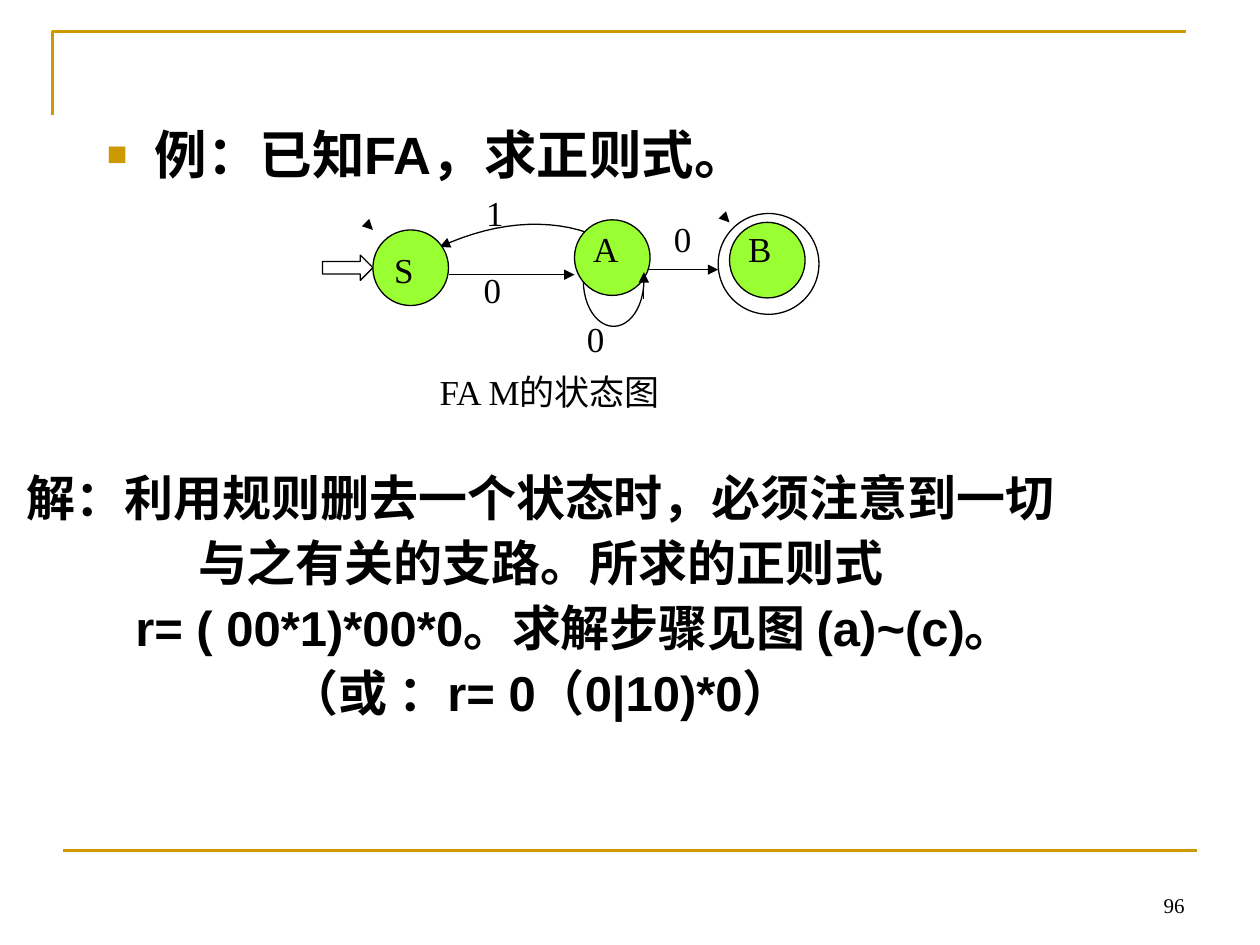
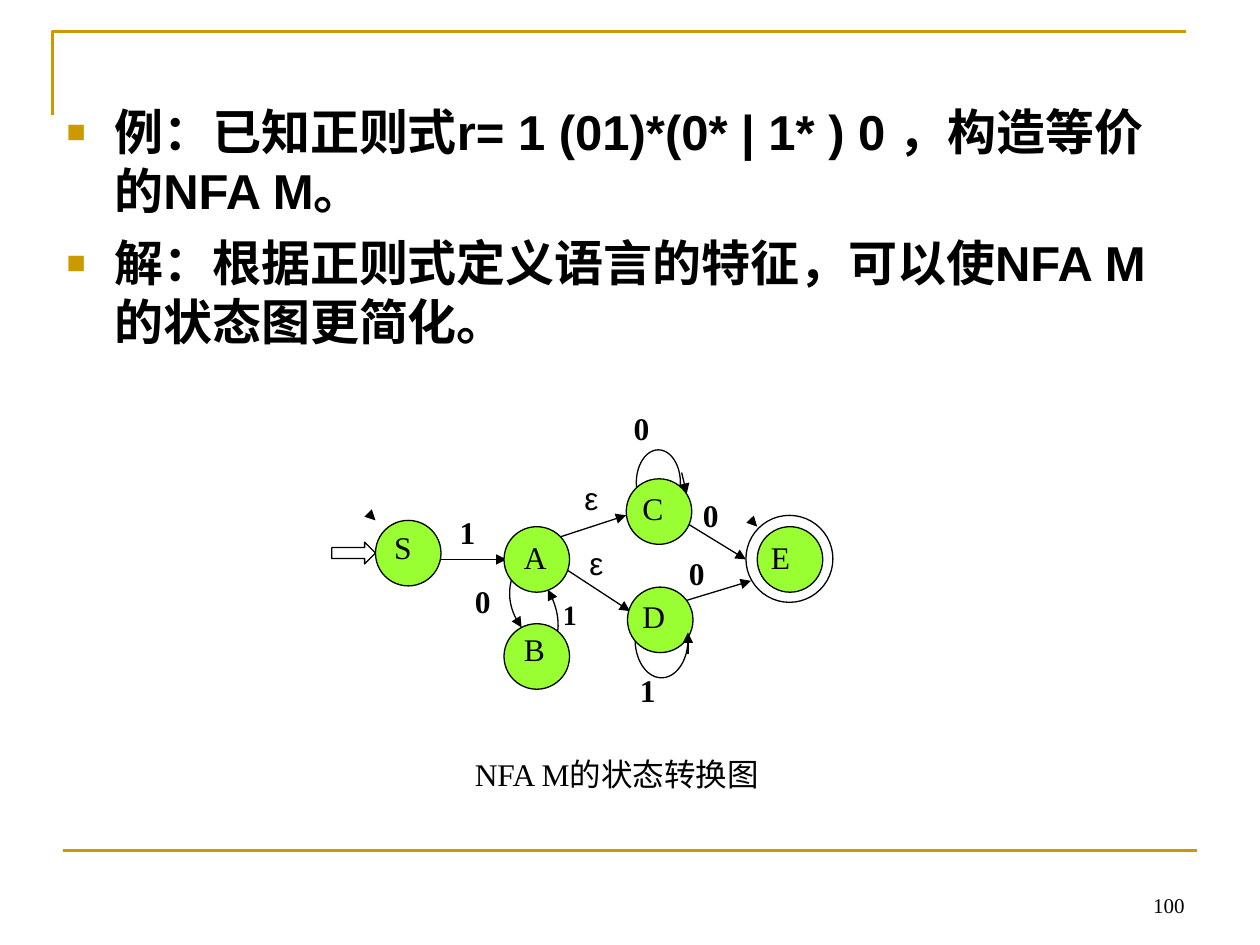
import dataclasses

import lxml.etree
import pptx
import pptx.dml.color
import pptx.enum.shapes
import pptx.enum.text
import pptx.oxml.ns
import pptx.util

SHAPES = pptx.enum.shapes.MSO_SHAPE
ALIGN = pptx.enum.text.PP_ALIGN
ANCHOR = pptx.enum.text.MSO_ANCHOR
SLIDE_SIZE = (pptx.util.Inches(10), pptx.util.Inches(7.5))
COLUMNS, ROWS = 100, 75


@dataclasses.dataclass(frozen=True)
class Theme:
    gold: str = "CC9900"
    ink: str = "000000"
    state: str = "99FF33"
    paper: str = "FFFFFF"
    sans: str = "Arial"
    serif: str = "Times New Roman"
    lead: int = 30
    body: int = 28
    page: int = 12
    rule: float = 1.5
    edge: float = 0.75
    bullet_share: int = 65000


THEME = Theme()


@dataclasses.dataclass(frozen=True)
class Box:
    """A region of the slide, in grid cells."""
    left: float
    top: float
    width: float
    height: float

    def point(self, column, row):
        return (round((self.left + column) * SLIDE_SIZE[0] / COLUMNS),
                round((self.top + row) * SLIDE_SIZE[1] / ROWS))

    def inner(self, left, top, width, height):
        return Box(self.left + left, self.top + top, width, height)

    def centred(self, centre, width, height):
        return self.inner(centre[0] - width / 2, centre[1] - height / 2, width, height)

    def frame(self):
        left, top = self.point(0, 0)
        right, bottom = self.point(self.width, self.height)
        return left, top, right - left, bottom - top


PAGE = Box(0, 0, COLUMNS, ROWS)


def rgb(value):
    return pptx.dml.color.RGBColor.from_string(value)


def apply_format(target, values):
    for name, value in values.items():
        setattr(target, name, value)


def text_format(size, face=THEME.serif, bold=False):
    return {"size": pptx.util.Pt(size), "name": face, "bold": bold}


# Drawing helpers

def add_xml(parent, tag, **attributes):
    return lxml.etree.SubElement(parent, pptx.oxml.ns.qn(tag), attributes)


def style_line(shape, color=THEME.ink, width=THEME.edge, arrow=False):
    shape.line.color.rgb = rgb(color)
    shape.line.width = pptx.util.Pt(width)
    if arrow:
        outline = shape.element.spPr.find(pptx.oxml.ns.qn("a:ln"))
        add_xml(outline, "a:tailEnd", type="triangle")


def add_line(slide, box, start, end, **style):
    line = slide.shapes.add_connector(pptx.enum.shapes.MSO_CONNECTOR.STRAIGHT,
                                      *box.point(*start), *box.point(*end))
    style_line(line, **style)
    add_xml(line.element.spPr, "a:effectLst")


def add_outline(slide, box, points, **style):
    first, *others = [box.point(*point) for point in points]
    builder = slide.shapes.build_freeform(*first)
    builder.add_line_segments(others, close=False)
    shape = builder.convert_to_shape()
    shape.shadow.inherit = False
    shape.fill.background()
    style_line(shape, **style)


def add_curve(slide, box, controls, steps=16):
    def at(share):
        rest = 1 - share
        weights = (rest ** 3, 3 * rest ** 2 * share, 3 * rest * share ** 2, share ** 3)
        return [sum(weight * control[axis] for weight, control in zip(weights, controls))
                for axis in (0, 1)]

    add_outline(slide, box, [at(step / steps) for step in range(steps + 1)], arrow=True)


def add_filled(slide, box, preset, color=THEME.paper):
    shape = slide.shapes.add_shape(preset, *box.frame())
    shape.shadow.inherit = False
    shape.fill.solid()
    shape.fill.fore_color.rgb = rgb(color)
    style_line(shape)


def add_text(slide, box, lines, font, align=ALIGN.LEFT, anchor=ANCHOR.TOP,
             spacing=None, before=0, indents=(), bullets=False):
    frame = slide.shapes.add_textbox(*box.frame()).text_frame
    apply_format(frame, {"word_wrap": True, "vertical_anchor": anchor})
    for index, line in enumerate(lines):
        paragraph = frame.add_paragraph() if index else frame.paragraphs[0]
        apply_format(paragraph, {"alignment": align, "line_spacing": spacing,
                                 "space_before": pptx.util.Pt(before if index else 0)})
        properties = paragraph._p.get_or_add_pPr()
        if indents:
            properties.set("marL", str(pptx.util.Inches(indents[index])))
        if bullets:
            properties.set("indent", str(-pptx.util.Inches(indents[index])))
            add_xml(add_xml(properties, "a:buClr"), "a:srgbClr", val=THEME.gold)
            add_xml(properties, "a:buSzPct", val=str(THEME.bullet_share))
            add_xml(properties, "a:buFont", typeface=THEME.sans)
            add_xml(properties, "a:buChar", char="■")
        run = paragraph.add_run()
        run.text = line
        apply_format(run.font, font)
        run.font.color.rgb = rgb(THEME.ink)


# Slide regions

def add_base(presentation, number):
    slide = presentation.slides.add_slide(presentation.slide_layouts[6])
    gold = {"color": THEME.gold, "width": THEME.rule}
    add_outline(slide, PAGE, [(4.17, 9.17), (4.17, 2.5), (94.17, 2.5)], **gold)
    add_line(slide, PAGE, (5, 67.5), (95, 67.5), **gold)
    add_text(slide, Box(71.7, 68.3, 23.3, 5), [str(number)], text_format(THEME.page),
             align=ALIGN.RIGHT, anchor=ANCHOR.BOTTOM)
    return slide


def add_bullets(slide, box, lines, size):
    add_text(slide, box, lines, text_format(size, THEME.sans, True),
             before=7.5, indents=[0.38] * len(lines), bullets=True)


def add_automaton(slide, box, diagram):
    diameter = diagram["diameter"]
    states = diagram["states"]
    # Loops and edges lie behind the states
    for centre, width, height in diagram["loops"]:
        add_filled(slide, box.centred(centre, width, height), SHAPES.OVAL)
    for start, end in diagram["edges"]:
        add_line(slide, box, start, end, arrow=True)
    for controls in diagram["curves"]:
        add_curve(slide, box, controls)
    # Entry arrow, accepting ring and states
    start_x, start_y = states[0]
    entry_centre = (start_x - diameter * 5 / 6, start_y)
    add_filled(slide, box.centred(entry_centre, diameter * 2 / 3, diameter / 3),
               SHAPES.RIGHT_ARROW)
    ring_centre, ring_size = diagram["ring"]
    add_filled(slide, box.centred(ring_centre, ring_size, ring_size), SHAPES.OVAL)
    for centre in states:
        add_filled(slide, box.centred(centre, diameter, diameter), SHAPES.OVAL, THEME.state)
    # Arrow tips at the corners of the first and last states, and on the loops
    for x, y in (states[0], states[-1]):
        corner = (x - diameter / 2, y - diameter / 2)
        add_line(slide, box, (corner[0] - 0.1, corner[1] - 0.1), corner, arrow=True)
    for start, end in diagram["loop_tips"]:
        add_line(slide, box, start, end, arrow=True)
    # State names, edge symbols and caption
    for font, labels in diagram["labels"]:
        for text, left, top in labels:
            add_text(slide, box.inner(left, top, 6, 6), [text], font)
    caption, left, top, size = diagram["caption"]
    add_text(slide, box.inner(left, top, 30, 6), [caption], text_format(size))


FA_DIAGRAM = {
    "diameter": 6,
    "states": [(7.6, 7.25), (23.6, 6.45), (35.9, 6.65)],
    "ring": ((36, 6.95), 8),
    "loops": [((23.7, 8.3), 4.8, 7.2)],
    "loop_tips": [((26.1, 9.7), (26.1, 7.6))],
    "edges": [((10.6, 7.8), (20.6, 7.8)), ((26, 7.4), (32, 7.4))],
    "curves": [[(23.1, 5.1), (19.4, 3.2), (14.7, 3.4), (9.9, 5.6)]],
    "labels": [(text_format(20), [
        ("S", 5.3, 5.2), ("A", 21.1, 3.6), ("B", 33.4, 3.6), ("1", 12.6, 0.7),
        ("0", 12.4, 6.8), ("0", 27.5, 2.8), ("0", 20.6, 10.7)])],
    "caption": ("FA M的状态图", 8.9, 14.9, 20),
}

NFA_DIAGRAM = {
    "diameter": 5.2,
    "states": [(6.4, 11.9), (16.6, 12.4), (16.6, 20.1), (26.3, 8.6), (26.4, 17.2),
               (36.7, 12.4)],
    "ring": ((36.65, 12.35), 6.9),
    "loops": [((26.25, 6.3), 3.5, 5.2), ((26.5, 18.75), 4.2, 6.1)],
    "loop_tips": [((28.1, 5.5), (28.5, 7.2)), ((28.6, 19.9), (28.6, 18.2))],
    "edges": [((9, 12.4), (14.2, 12.4)), ((18.5, 10.6), (23.7, 8.9)),
              ((18.8, 13.1), (24, 16.5)), ((28.3, 9.4), (33.2, 12.4)),
              ((28, 15.8), (33.6, 14.1))],
    "curves": [[(15.3, 12.6), (14.1, 14.2), (14.2, 16.2), (15.4, 17.8)],
               [(17.3, 19.9), (18.6, 18.8), (18.6, 16.8), (17.5, 14.8)]],
    "labels": [
        (text_format(18), [("S", 4.3, 9.4), ("A", 14.6, 10.2), ("B", 14.6, 17.5),
                           ("C", 24, 6.3), ("D", 24, 14.9), ("E", 34.2, 10.2)]),
        (text_format(18, bold=True), [("1", 9.5, 8.2), ("0", 10.7, 13.7), ("0", 23.3, 0),
                                      ("0", 28.8, 6.9), ("0", 27.7, 11.5),
                                      ("1", 23.8, 20.8)]),
        (text_format(16, bold=True), [("1", 17.7, 14.9)]),
        (text_format(18, THEME.sans), [("ε", 19.4, 5.5), ("ε", 19.8, 10.7)])],
    "caption": ("NFA M的状态转换图", 10.7, 27.4, 18),
}


# Slides

def build_fa_slide(presentation):
    slide = add_base(presentation, 96)
    add_bullets(slide, Box(7.5, 9.2, 90, 49.5), ["例：已知FA，求正则式。"], THEME.lead)
    add_automaton(slide, Box(25, 14, 42, 21), FA_DIAGRAM)
    solution = ["解：利用规则删去一个状态时，必须注意到一切与之有关的支路。所求的正则式",
                "r= ( 00*1)*00*0。求解步骤见图 (a)~(c)。",
                "（或 ：r= 0（0|10)*0）"]
    add_text(slide, Box(0, 33.6, 85.8, 26.7), solution,
             text_format(THEME.body, THEME.sans, True), align=ALIGN.CENTER,
             anchor=ANCHOR.MIDDLE, spacing=1.1, indents=(0, 0.54, 0))


def build_nfa_slide(presentation):
    slide = add_base(presentation, 100)
    add_bullets(slide, Box(4.3, 7.6, 90, 23.6),
                ["例：已知正则式r= 1 (01)*(0* | 1* ) 0 ，构造等价的NFA M。",
                 "解：根据正则式定义语言的特征，可以使NFA M的状态图更简化。"], THEME.body)
    add_automaton(slide, Box(26, 32, 42, 33), NFA_DIAGRAM)


def main():
    presentation = pptx.Presentation()
    presentation.slide_width, presentation.slide_height = SLIDE_SIZE
    build_fa_slide(presentation)
    build_nfa_slide(presentation)
    presentation.save("out.pptx")


if __name__ == "__main__":
    main()
